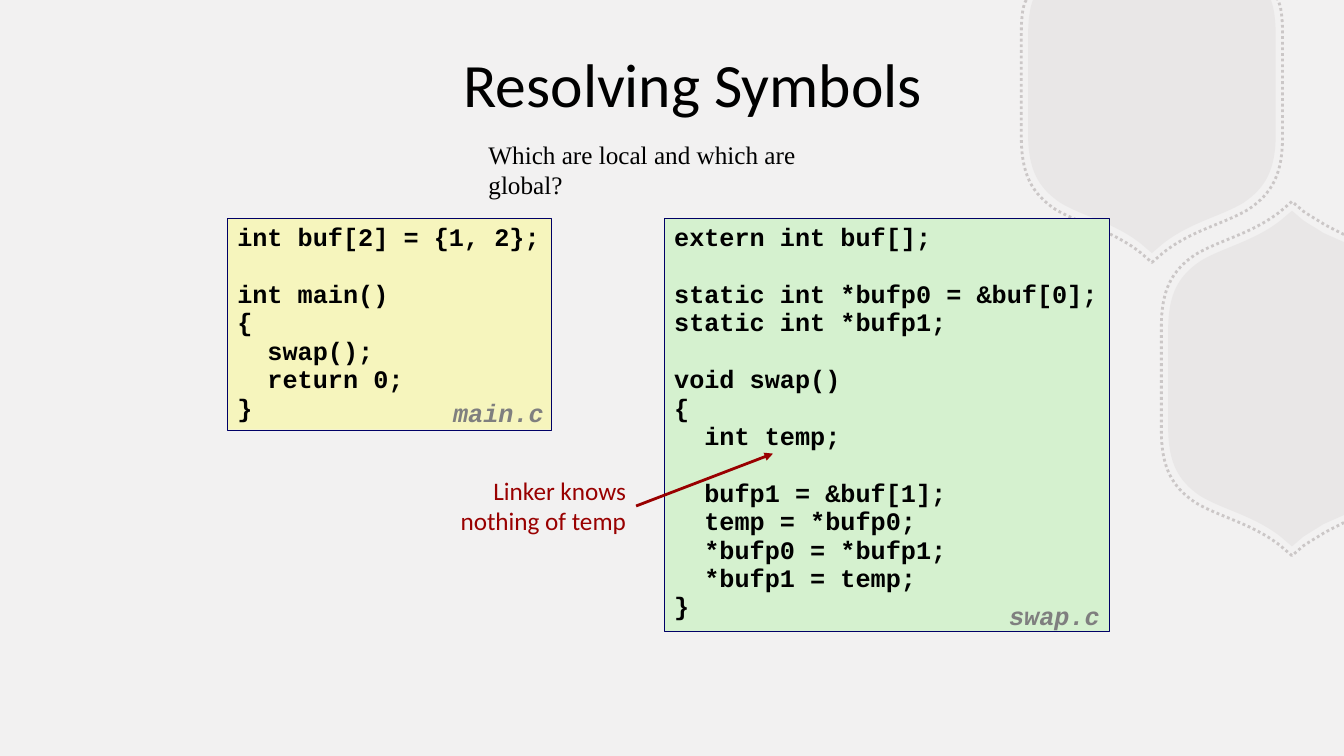
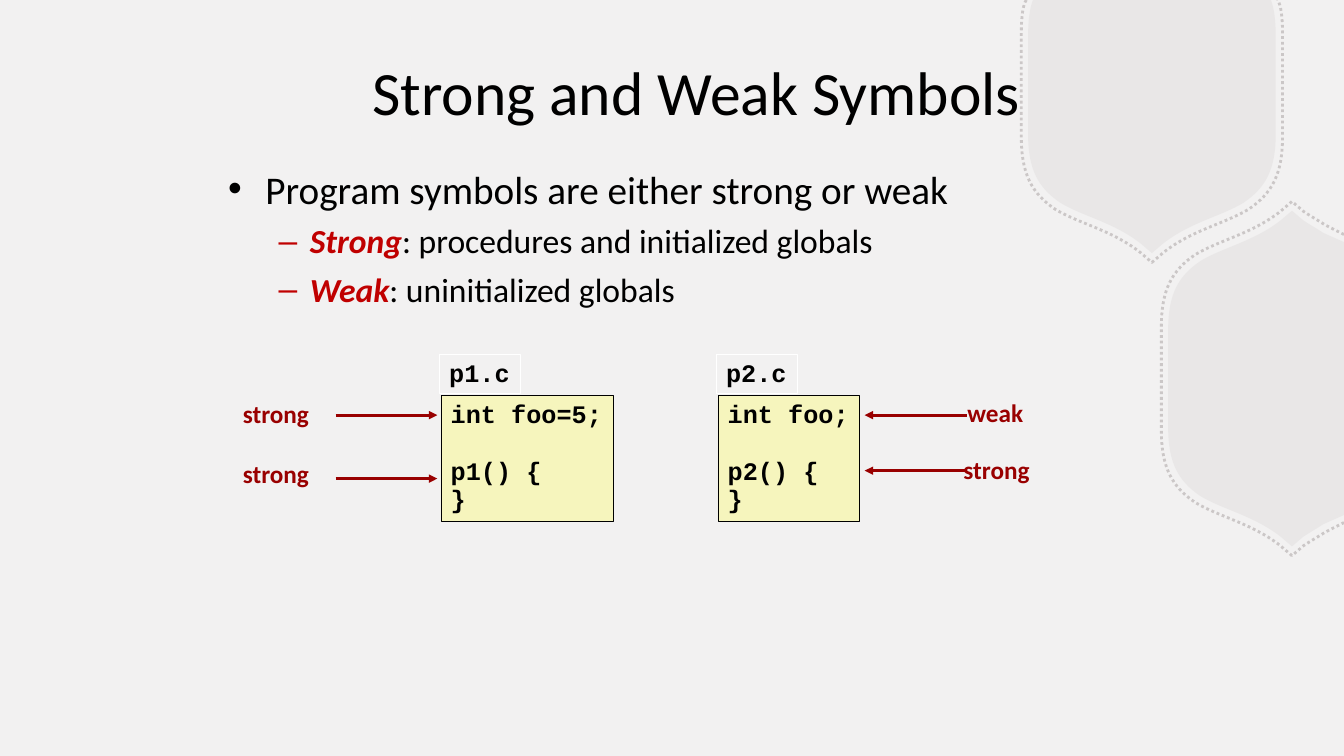
from pptx import Presentation
from pptx.dml.color import RGBColor
from pptx.enum.dml import MSO_LINE
from pptx.enum.shapes import MSO_CONNECTOR, MSO_SHAPE
from pptx.enum.text import MSO_ANCHOR, PP_ALIGN
from pptx.oxml.ns import qn
from pptx.util import Cm, Pt
from lxml.etree import SubElement

COLORS = {
    "background": "F2F1F1",
    "hexagon": "B8B2B2",
    "text": "000000",
    "file": "7F7F7F",
    "note": "990000",
    "term": "C00000",
    "yellow": "F6F5BD",
    "green": "D5F1CF",
    "navy": "000066",
    "white": "FFFFFF",
}
WIDTH, HEIGHT = 33.87, 19.05
BODY_FONT, CODE_FONT, QUESTION_FONT = "Calibri", "Courier New", "Times New Roman"
CODE_PITCH = Pt(20.3)
CODE_CHARACTER = Pt(10.8)
OUTLINE_SCALE = 1.055

TIP, SHOULDER, CORNER, SIDE = (0, 4.23), (0.28, 3.99), (2.31, 2.96), (3.12, 1.23)
UPPER_BEND = [(0.97, 3.45), (1.73, 3.31)]
LOWER_BEND = [(2.87, 2.58), (3.12, 2.12)]
TOP_HALF = [TIP, SHOULDER, *UPPER_BEND, CORNER, *LOWER_BEND, SIDE]
TOP_HALF += [(3.12, -1.23), (3.12, -1.65), (3.08, -1.93), (3.0, -2.15)]
RIGHT_HALF = [(-x, y) for x, y in [(3.12, 0)] + TOP_HALF[7:0:-1]]
RIGHT_HALF += [TIP, SHOULDER, (0.46, 3.87), (0.64, 3.77), (0.79, 3.67), (1.31, 3.44)]
HEXAGONS = (
    ((29.03, 2.15), TOP_HALF, "LCCLC", (-1, 1)),
    ((32.56, 9.54), RIGHT_HALF, "LCCLLCL", (1, -1)),
)

MAIN_CODE = """int buf[2] = {1, 2};

int main()
{
  swap();
  return 0;
}"""

SWAP_CODE = """extern int buf[];

static int *bufp0 = &buf[0];
static int *bufp1;

void swap()
{
  int temp;

  bufp1 = &buf[1];
  temp = *bufp0;
  *bufp0 = *bufp1;
  *bufp1 = temp;
}"""


def rgb(name):
    return RGBColor.from_string(COLORS[name])


def mirrored_points(center, half, mirror, scale):
    twin = [(x * mirror[0], y * mirror[1]) for x, y in half[:0:-1]]
    return [
        (Cm(min(center[0] + scale * x, WIDTH)), Cm(max(center[1] + scale * y, 0)))
        for x, y in twin + half
    ]


def bend_segments(shape, kinds):
    lines = shape._element.iter(qn("a:lnTo"))
    for kind in kinds:
        segment = next(lines)
        if kind == "C":
            controls = [segment, next(lines), next(lines)]
            segment.addprevious(segment.makeelement(qn("a:cubicBezTo")))
            cubic = segment.getprevious()
            for control in controls:
                cubic.append(control[0])


def drop_empty_segments(shape):
    for segment in list(shape._element.iter(qn("a:lnTo"))):
        if len(segment) == 0:
            segment.getparent().remove(segment)


class Lecture:
    def __init__(self):
        self.deck = Presentation()
        self.deck.slide_width, self.deck.slide_height = Cm(WIDTH), Cm(HEIGHT)
        self.layout = self.deck.slide_layouts[5]
        fill = self.layout.background.fill
        fill.solid()
        fill.fore_color.rgb = rgb("background")
        self.page = None

    def start_page(self, title, left, top):
        first = self.page is None
        self.page = self.deck.slides.add_slide(self.layout)
        if first:
            self.decorate_layout()
        box = self.page.shapes.title
        box.left, box.top, box.width, box.height = Cm(left), Cm(top), Cm(24.21), Cm(2.18)
        frame = box.text_frame
        frame.vertical_anchor = MSO_ANCHOR.MIDDLE
        para = frame.paragraphs[0]
        para.alignment = PP_ALIGN.CENTER
        self.span(para, title, 44)

    def decorate_layout(self):
        tree = self.layout.shapes._spTree
        position = 2
        for filled, scale in ((True, 1), (False, OUTLINE_SCALE)):
            for center, half, kinds, mirror in HEXAGONS:
                points = mirrored_points(center, half, mirror, scale)
                shape = self.hexagon(points, kinds[::-1] + kinds, filled)
                tree.insert(position, shape._element)
                position += 1

    def hexagon(self, points, kinds, filled):
        builder = self.page.shapes.build_freeform(*points[0])
        builder.add_line_segments(points[1:], close=filled)
        shape = builder.convert_to_shape()
        bend_segments(shape, kinds)
        drop_empty_segments(shape)
        shape.shadow.inherit = False
        if filled:
            shape.fill.solid()
            shape.fill.fore_color.rgb = rgb("hexagon")
            shape.line.fill.background()
        else:
            shape.fill.background()
            shape.line.color.rgb = rgb("hexagon")
            shape.line.width = Pt(2)
            shape.line.dash_style = MSO_LINE.ROUND_DOT
        color = next(shape._element.spPr.iter(qn("a:srgbClr")))
        SubElement(color, qn("a:alpha"), val="15000" if filled else "65000")
        return shape

    def span(self, para, text, size=18, color="text", font=BODY_FONT, bold=False, italic=False):
        run = para.add_run()
        run.text = text
        run.font.size, run.font.name = Pt(size), font
        run.font.bold, run.font.italic = bold, italic
        run.font.color.rgb = rgb(color)

    def paragraphs(self, frame, count):
        return [frame.paragraphs[0]] + [frame.add_paragraph() for _ in range(count - 1)]

    def text(self, bounds, lines, wrap=False, align=PP_ALIGN.LEFT, spacing=1.0, **style):
        box = self.page.shapes.add_textbox(*map(Cm, bounds))
        frame = box.text_frame
        frame.word_wrap = wrap
        for para, line in zip(self.paragraphs(frame, len(lines)), lines):
            para.alignment = align
            para.line_spacing = spacing
            self.span(para, line, **style)
        return box

    def code(self, bounds, source, fill=None, line=None, **style):
        box = self.page.shapes.add_shape(MSO_SHAPE.RECTANGLE, *map(Cm, bounds))
        box.shadow.inherit = False
        if fill:
            box.fill.solid()
            box.fill.fore_color.rgb = rgb(fill)
        else:
            box.fill.background()
        if line:
            box.line.color.rgb = rgb(line)
            box.line.width = Pt(0.25)
        else:
            box.line.fill.background()
        frame = box.text_frame
        frame.word_wrap = False
        frame.vertical_anchor = MSO_ANCHOR.TOP
        blocks = [block.splitlines() for block in source.split("\n\n")]
        rows = [(row, index) for block in blocks for index, row in enumerate(block)]
        for number, para in enumerate(self.paragraphs(frame, len(rows))):
            row, index = rows[number]
            statement = row.lstrip()
            para.alignment = PP_ALIGN.LEFT
            para.line_spacing = CODE_PITCH
            if number and index == 0:
                para.space_before = CODE_PITCH
            indent = (len(row) - len(statement)) * CODE_CHARACTER
            para._p.get_or_add_pPr().set("marL", str(indent))
            self.span(para, statement, font=CODE_FONT, bold=True, **style)

    def bullets(self, bounds, items):
        frame = self.page.shapes.add_textbox(*map(Cm, bounds)).text_frame
        frame.word_wrap = True
        levels = (("•", "text", 0.94, 0.94, 7, 28), ("–", "term", 2.06, 0.79, 6, 24))
        for para, (level, term, rest) in zip(self.paragraphs(frame, len(items)), items):
            mark, color, margin, hanging, before, size = levels[level]
            para.level = level
            para.space_before = Pt(before)
            properties = para._p.get_or_add_pPr()
            properties.set("marL", str(Cm(margin)))
            properties.set("indent", str(-Cm(hanging)))
            mark_color = SubElement(properties, qn("a:buClr"))
            SubElement(mark_color, qn("a:srgbClr"), val=COLORS[color])
            SubElement(properties, qn("a:buFont"), typeface="Arial")
            SubElement(properties, qn("a:buChar"), char=mark)
            if term:
                self.span(para, term, size, "term", bold=True, italic=True)
            self.span(para, rest, size)

    def arrow(self, start, end, source=None):
        line = self.page.shapes.add_connector(MSO_CONNECTOR.STRAIGHT, *map(Cm, start + end))
        if source is not None:
            line.begin_connect(source, 3)
        line.line.color.rgb = rgb("note")
        line.line.width = Pt(2)
        SubElement(line.line._get_or_add_ln(), qn("a:tailEnd"), type="triangle")
        SubElement(line._element.spPr, qn("a:effectLst"))


def resolving_symbols(lecture):
    lecture.start_page("Resolving Symbols", 5.36, 0.99)
    lecture.code((5.73, 5.5, 8.16, 5.33), MAIN_CODE, "yellow", "navy")
    lecture.code((16.74, 5.5, 11.22, 10.4), SWAP_CODE, "green", "navy")
    for name, left, top in (("main.c", 11.17, 9.94), ("swap.c", 25.18, 15.06)):
        lecture.code((left, top, 2.79, 0.99), name, color="file", italic=True)
    note = lecture.text(
        (11.31, 11.85, 4.72, 1.8),
        ["Linker knows", "nothing of temp"],
        align=PP_ALIGN.RIGHT,
        color="note",
    )
    lecture.arrow((16.03, 12.75), (19.48, 11.43), note)
    lecture.text(
        (12.06, 3.38, 10.06, 1.02),
        ["Which are local and which are global?"],
        wrap=True,
        font=QUESTION_FONT,
    )


def strong_and_weak(lecture):
    lecture.start_page("Strong and Weak Symbols", 5.45, 1.2)
    lecture.bullets((5.5, 4.03, 23.09, 4.01), [
        (0, "", "Program symbols are either strong or weak"),
        (1, "Strong", ": procedures and initialized globals"),
        (1, "Weak", ": uninitialized globals"),
    ])
    for name, declaration, left, width in (
        ("p1", "int foo=5;", 11.11, 4.34),
        ("p2", "int foo;", 18.09, 3.56),
    ):
        source = f"{declaration}\n\n{name}() {{\n}}"
        lecture.code((left, 9.96, width, 3.18), source, "yellow", "text")
        lecture.code((left - 0.04, 8.93, 2.03, 0.99), f"{name}.c", line="white")
    for label, left, top, width, start, end, level in (
        ("strong", 5.87, 9.94, 2.18, 8.46, 11.02, 10.46),
        ("strong", 5.87, 11.45, 2.18, 8.46, 11.02, 12.06),
        ("weak", 24.13, 9.93, 1.93, 24.36, 21.79, 10.46),
        ("strong", 24.03, 11.35, 2.18, 24.36, 21.79, 11.86),
    ):
        lecture.text((left, top, width, 1.02), [label], spacing=0.98, color="note", bold=True)
        lecture.arrow((start, level), (end, level))


def main():
    lecture = Lecture()
    resolving_symbols(lecture)
    strong_and_weak(lecture)
    lecture.deck.save("out.pptx")


if __name__ == "__main__":
    main()
